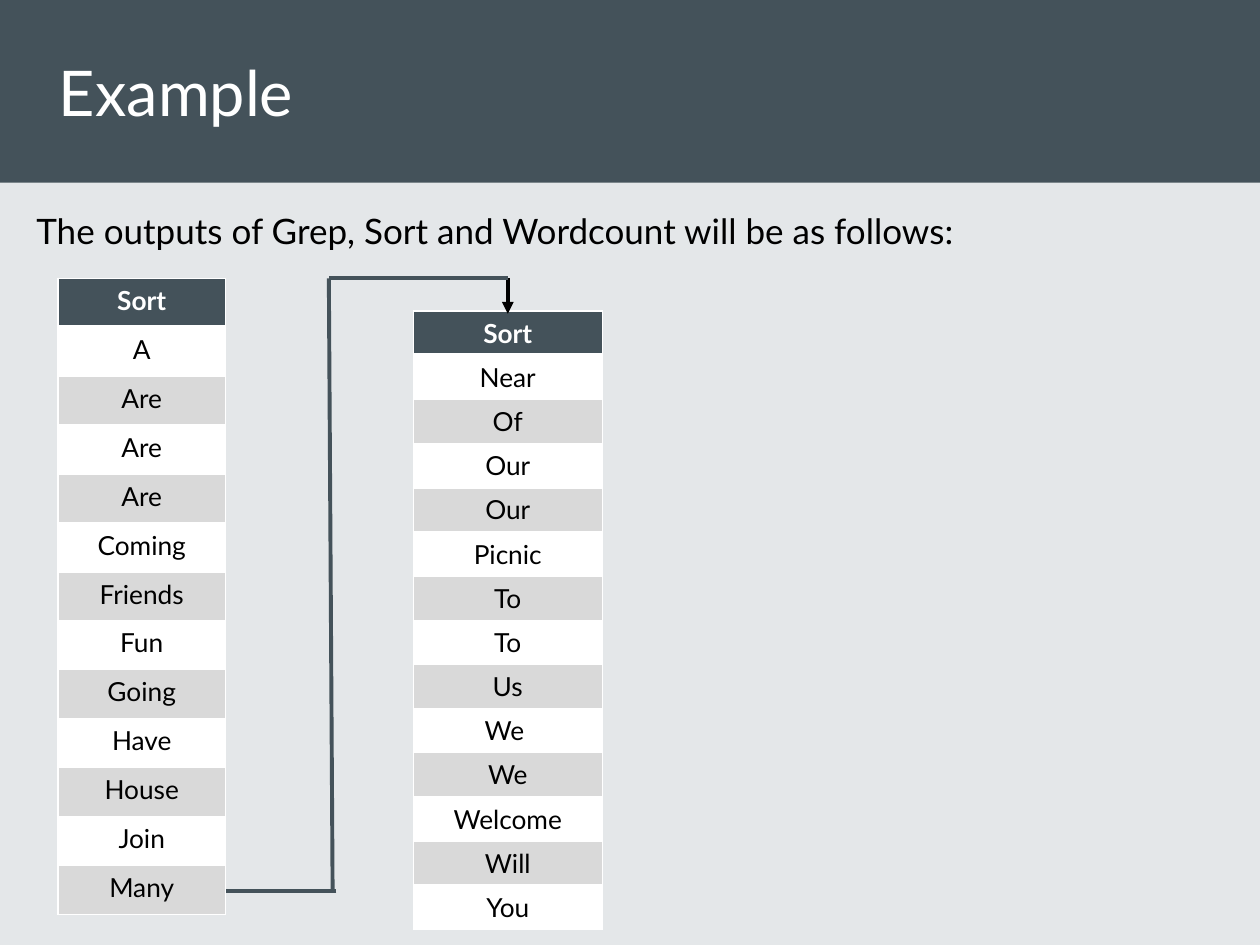
import pptx
import pptx.dml.color
import pptx.enum.shapes
import pptx.enum.text
import pptx.oxml
import pptx.oxml.ns
import pptx.util
from lxml import etree

Inches = pptx.util.Inches
FONT = "Lato"
COLORS = {
    "background": "E4E7E9",
    "slate": "44525A",
    "white": "FFFFFF",
    "band": "D9D9D9",
    "black": "000000",
}
FIRST_WORDS = ["A", "Are", "Are", "Are", "Coming", "Friends", "Fun", "Going",
               "Have", "House", "Join", "Many"]
SECOND_WORDS = ["Near", "Of", "Our", "Our", "Picnic", "To", "To", "Us", "We ",
                "We", "Welcome", "Will", "You"]


def color(name):
    return pptx.dml.color.RGBColor.from_string(COLORS[name])


def add_span(para, text, size, color_name, bold=False):
    span = para.add_run()
    span.text = text
    span.font.name = FONT
    span.font.size = pptx.util.Pt(size)
    span.font.bold = bold
    span.font.color.rgb = color(color_name)


def add_banner(page):
    banner = page.shapes.add_shape(
        pptx.enum.shapes.MSO_SHAPE.RECTANGLE, 0, 0, Inches(10), Inches(1.45))
    banner.shadow.inherit = False
    banner.fill.solid()
    banner.fill.fore_color.rgb = color("slate")
    banner.line.fill.background()


def add_text(page, place, text, size, color_name, anchor, spacing=1.0):
    box = page.shapes.add_textbox(*map(Inches, place))
    frame = box.text_frame
    frame.word_wrap = True
    frame.vertical_anchor = anchor
    para = frame.paragraphs[0]
    para.line_spacing = spacing
    add_span(para, text, size, color_name)


def set_borders(cell, bottom_width):
    properties = cell._tc.get_or_add_tcPr()
    for side, width in (("L", 1), ("R", 1), ("T", 1), ("B", bottom_width)):
        properties.append(pptx.oxml.parse_xml(
            f'<a:ln{side} {pptx.oxml.ns.nsdecls("a")} w="{pptx.util.Pt(width)}">'
            f'<a:solidFill><a:srgbClr val="{COLORS["white"]}"/></a:solidFill>'
            f'</a:ln{side}>'))


def add_word_table(page, left, top, width, height, words):
    entries = ["Sort"] + words
    table = page.shapes.add_table(
        len(entries), 1, Inches(left), Inches(top), Inches(width), Inches(height)).table
    for index, text in enumerate(entries):
        header = index == 0
        cell = table.cell(index, 0)
        set_borders(cell, 3 if header else 1)
        cell.fill.solid()
        fill = "slate" if header else "white" if index % 2 else "band"
        cell.fill.fore_color.rgb = color(fill)
        para = cell.text_frame.paragraphs[0]
        para.alignment = pptx.enum.text.PP_ALIGN.CENTER
        add_span(para, text, 15, "white" if header else "black", header)


def add_line(group, start, end, color_name, arrow=False):
    line = group.shapes.add_connector(
        pptx.enum.shapes.MSO_CONNECTOR.STRAIGHT, *map(Inches, start + end))
    line.line.width = pptx.util.Pt(2.25)
    line.line.color.rgb = color(color_name)
    if arrow:
        outline = line.line._get_or_add_ln()
        etree.SubElement(outline, pptx.oxml.ns.qn("a:tailEnd"), type="triangle")
    etree.SubElement(line._element.spPr, pptx.oxml.ns.qn("a:effectLst"))


def add_route(page):
    group = page.shapes.add_group_shape()
    add_line(group, (4.03, 2.21), (4.03, 2.49), "black", arrow=True)
    add_line(group, (4.03, 2.21), (2.61, 2.21), "slate")
    add_line(group, (2.61, 2.21), (2.64, 7.07), "slate")
    add_line(group, (2.67, 7.07), (1.79, 7.07), "slate")


def main():
    deck = pptx.Presentation()
    deck.slide_width, deck.slide_height = Inches(10), Inches(7.5)
    page = deck.slides.add_slide(deck.slide_layouts[6])
    page.background.fill.solid()
    page.background.fill.fore_color.rgb = color("background")
    anchors = pptx.enum.text.MSO_ANCHOR
    add_banner(page)
    add_text(page, (0.19, 1.45, 9.36, 5.8),
             "The outputs of Grep, Sort and Wordcount will be as follows:",
             20, "black", anchors.TOP, 1.5)
    add_text(page, (0.37, 0, 9.17, 1.45), "Example", 36, "white", anchors.MIDDLE)
    add_word_table(page, 0.46, 2.21, 1.33, 5.05, FIRST_WORDS)
    add_word_table(page, 3.28, 2.47, 1.5, 4.9, SECOND_WORDS)
    add_route(page)
    deck.save("out.pptx")


if __name__ == "__main__":
    main()
